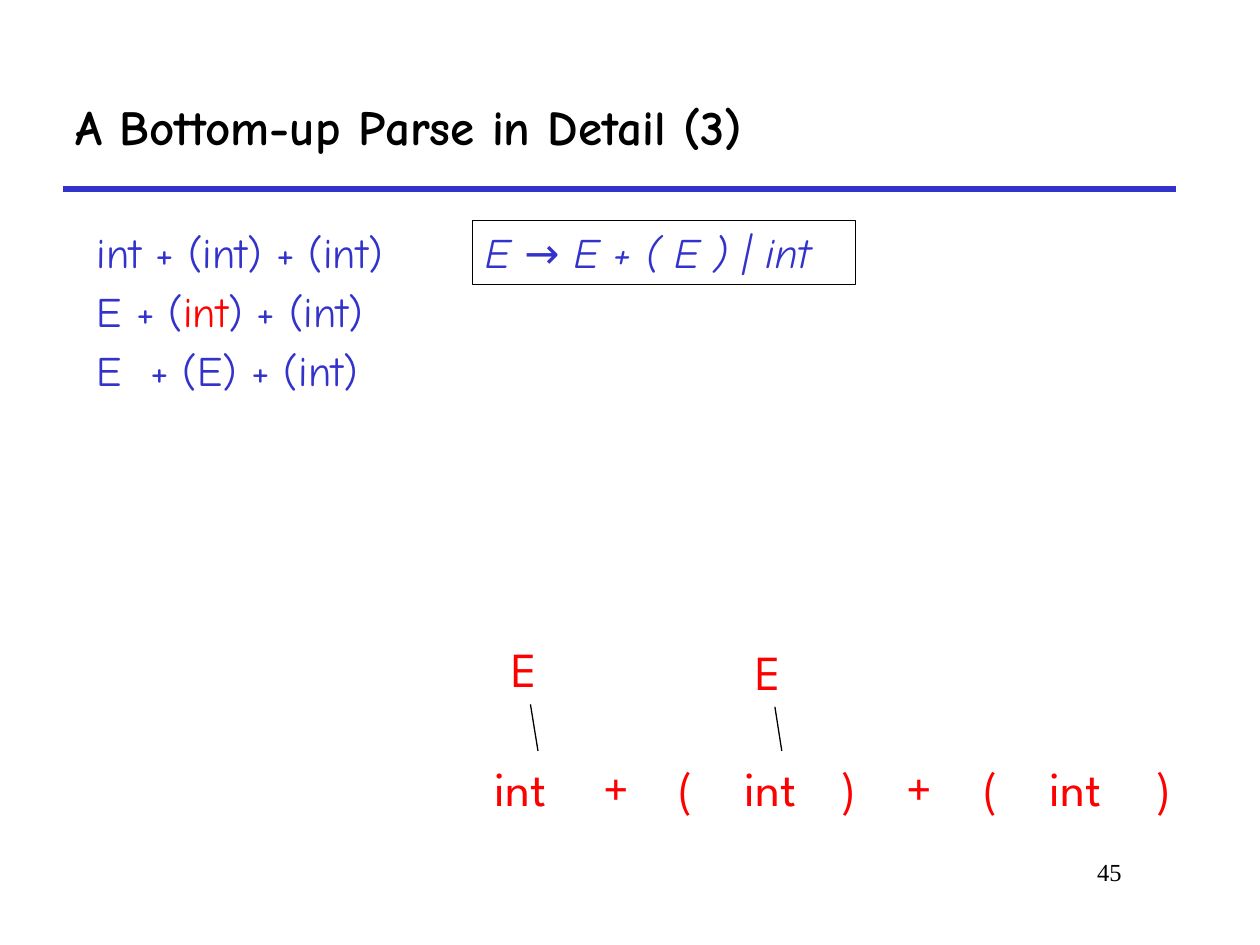
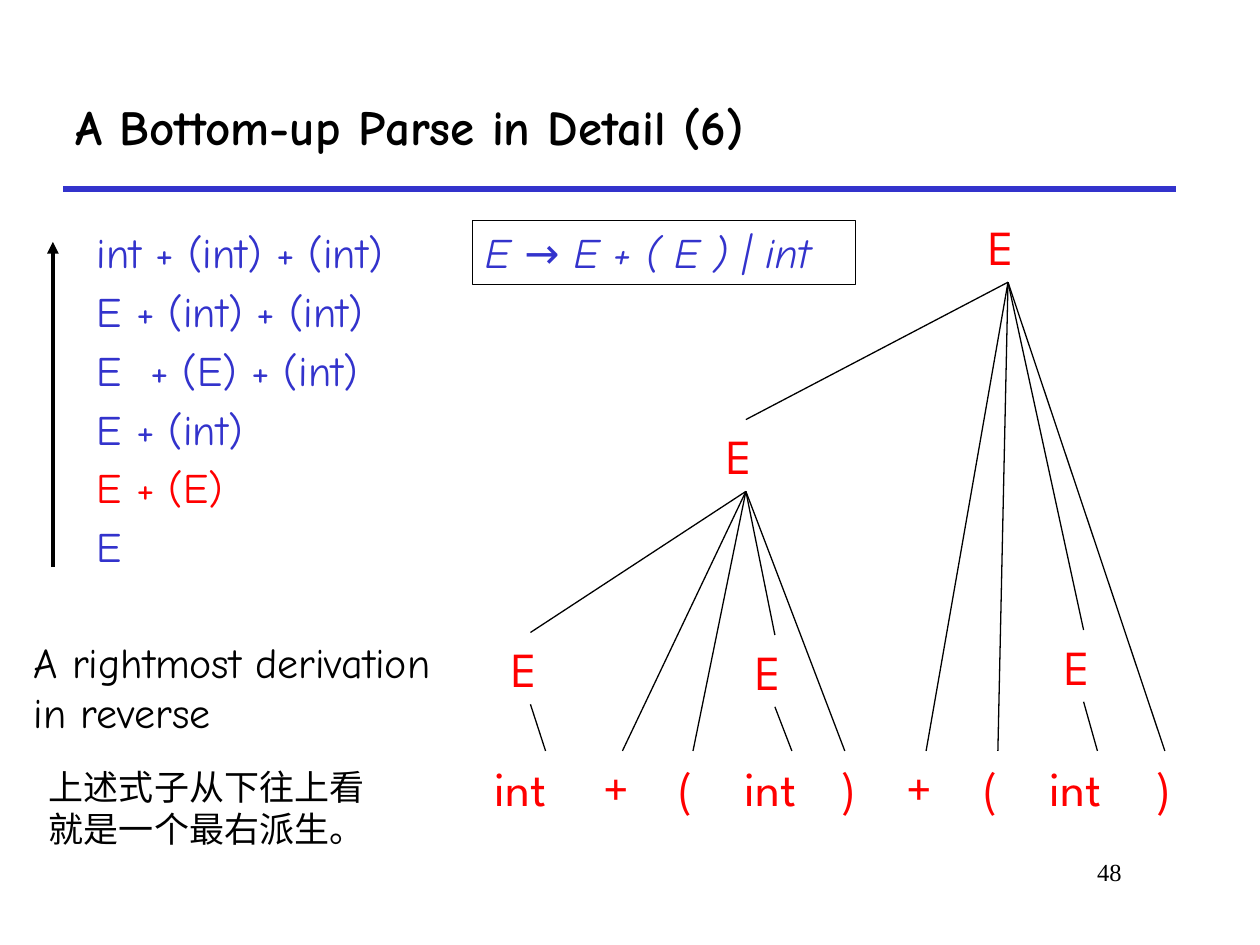
from lxml import etree
from pptx import Presentation
from pptx.dml.color import RGBColor
from pptx.enum.shapes import MSO_CONNECTOR as CONN, MSO_SHAPE as SHAPE
from pptx.enum.text import MSO_ANCHOR as ANCHOR, MSO_AUTO_SIZE as AUTO, PP_ALIGN as ALIGN
from pptx.oxml.ns import qn
from pptx.util import Emu, Pt

PX = 9144  # 100 px to the inch
BLACK, BLUE, RED = "000000", "3333CC", "FF0000"
HAND, TREE, SERIF = "Comic Neue", "League Spartan", "Times New Roman"

TITLE_BOX = (50, 50, 883, 100)
NUMBER_BOX = (692, 675, 208, 50)
STEPS_BOX = (67, 175, 268)
GRAMMAR_BOX = (375, 175, 304, 51)
TREE_BOX = (383, 167)
NOTES_BOX = (17, 500, 367, 180)
NODE_W, NODE_H = 50, 57

# Leaves of the tree: name, symbol, left edge and width (int widths vary)
LEAF_TOP = 429
LEAVES = [
    ("int1", "int", 0, None), ("plus1", "+", 86, 50), ("open1", "(", 146, 42),
    ("int2", "int", 198, None), ("close1", ")", 275, 25), ("plus2", "+", 327, 50),
    ("open2", "(", 388, 42), ("int3", "int", 440, None), ("close2", ")", 525, 33),
]
# Inner nodes: left and top edge
NODES = {"E1": (13, 335), "E2": (207, 337), "E3": (452, 333),
         "sum": (184, 166), "root": (392, 0)}
BRANCHES = {
    "E1": ["int1"], "E2": ["int2"], "E3": ["int3"],
    "sum": ["E1", "plus1", "open1", "E2", "close1"],
    "root": ["sum", "plus2", "open2", "E3", "close2"],
}


def px(*lengths):
    return [Emu(n * PX) for n in lengths]


def color(hex_text):
    return RGBColor.from_string(hex_text)


def space_before(p, percent):
    pPr = p._p.get_or_add_pPr()
    spc = etree.SubElement(pPr, qn("a:spcBef"))
    etree.SubElement(spc, qn("a:spcPct")).set("val", str(percent * 1000))


def write(sp, lines, font, size, hue, bold=False, italic=False, before=0,
          wrap=True, grow=True, anchor=ANCHOR.TOP, align=ALIGN.LEFT):
    """Each line is a string or a list of (text, colour) runs."""
    tf = sp.text_frame
    tf.word_wrap = wrap
    tf.auto_size = AUTO.SHAPE_TO_FIT_TEXT if grow else AUTO.NONE
    tf.vertical_anchor = anchor
    for i, line in enumerate(lines):
        p = tf.add_paragraph() if i else tf.paragraphs[0]
        p.alignment = align
        if before:
            space_before(p, before)
        for text, run_hue in [(line, hue)] if isinstance(line, str) else line:
            r = p.add_run()
            r.text = text
            r.font.name, r.font.size = font, Pt(size)
            r.font.bold, r.font.italic = bold, italic
            r.font.color.rgb = color(run_hue)


def add_text(slide, box, lines, font, size, hue, **style):
    sp = slide.shapes.add_textbox(*px(*box))
    write(sp, lines, font, size, hue, **style)
    return sp


def add_line(slide, ends=(0, 0, 0, 0), hue=BLACK, width=0.75, arrow=False):
    line = slide.shapes.add_connector(CONN.STRAIGHT, *px(*ends))
    line.line.color.rgb = color(hue)
    line.line.width = Pt(width)
    spPr = line._element.spPr
    if arrow:
        etree.SubElement(spPr.find(qn("a:ln")), qn("a:tailEnd")).set("type", "triangle")
    etree.SubElement(spPr, qn("a:effectLst"))
    return line


def add_frame(prs, title, number):
    """New slide with title, rule below it and page number."""
    slide = prs.slides.add_slide(prs.slide_layouts[6])
    x, y, w, h = TITLE_BOX
    add_line(slide, (x, y + h, x + w, y + h), BLUE, 3)
    add_text(slide, TITLE_BOX, [title], HAND, 28, BLACK, bold=True,
             grow=False, anchor=ANCHOR.MIDDLE)
    add_text(slide, NUMBER_BOX, [str(number)], SERIF, 14, BLACK,
             grow=False, align=ALIGN.RIGHT)
    return slide


def add_grammar(slide, box):
    sp = slide.shapes.add_shape(SHAPE.RECTANGLE, *px(*box))
    sp.shadow.inherit = False
    sp.fill.background()
    sp.line.color.rgb = color(BLACK)
    sp.line.width = Pt(0.75)
    write(sp, ["E → E + ( E ) | int"], HAND, 24, BLUE, italic=True, wrap=False)


def add_steps(slide, box, lines, arrow=False):
    """Derivation steps, with an optional upward arrow on their left."""
    x, y, w = box
    h = 2 + 48 * len(lines)
    add_text(slide, (x, y, w, h), lines, HAND, 24, BLUE, before=20, wrap=False)
    if arrow:
        add_line(slide, (x - 25, y + 275, x - 25, y + 17), width=2.25, arrow=True)


def add_tree(slide, box, parents, int_widths):
    """All leaves, plus the given inner nodes and their branches."""
    left, top = box
    widths = iter(int_widths)
    cells = [(name, symbol, x, LEAF_TOP, w or next(widths))
             for name, symbol, x, w in LEAVES]
    cells += [(name, "E", *NODES[name], NODE_W) for name in parents]
    nodes = {name: add_text(slide, (left + x, top + y, w, NODE_H), [symbol],
                            TREE, 28, RED, before=50, grow=False)
             for name, symbol, x, y, w in cells}
    for parent in parents:
        for child in BRANCHES[parent]:
            line = add_line(slide)
            line.begin_connect(nodes[parent], 2)
            line.end_connect(nodes[child], 0)


def add_notes(slide, box):
    x, y, w, h = box
    add_text(slide, (x, y, w, 90), ["A rightmost derivation in reverse"],
             HAND, 24, BLACK)
    add_text(slide, (x + 12, y + h - 77, 300, 77),
             ["上述式子从下往上看", "就是一个最右派生。"], SERIF, 20, BLACK)


def add_parse(prs, part, number, steps, parents, int_widths, complete=False):
    slide = add_frame(prs, f"A Bottom-up Parse in Detail ({part})", number)
    add_tree(slide, TREE_BOX, parents, int_widths)
    add_steps(slide, STEPS_BOX, steps, arrow=complete)
    add_grammar(slide, GRAMMAR_BOX)
    if complete:
        add_notes(slide, NOTES_BOX)


def main():
    prs = Presentation()
    prs.slide_width, prs.slide_height = px(1000, 750)
    first, third = "int + (int) + (int)", "E  + (E) + (int)"
    reduced = [("E + (", BLUE), ("int", RED), (") + (int)", BLUE)]
    add_parse(prs, 3, 45, [first, reduced, third], ["E1", "E2"], (88, 79, 101))
    add_parse(prs, 6, 48,
              [first, "E + (int) + (int)", third, "E + (int)",
               [("E + (E)", RED)], "E"],
              list(NODES), (100, 95, 96), complete=True)
    prs.save("out.pptx")


if __name__ == "__main__":
    main()
